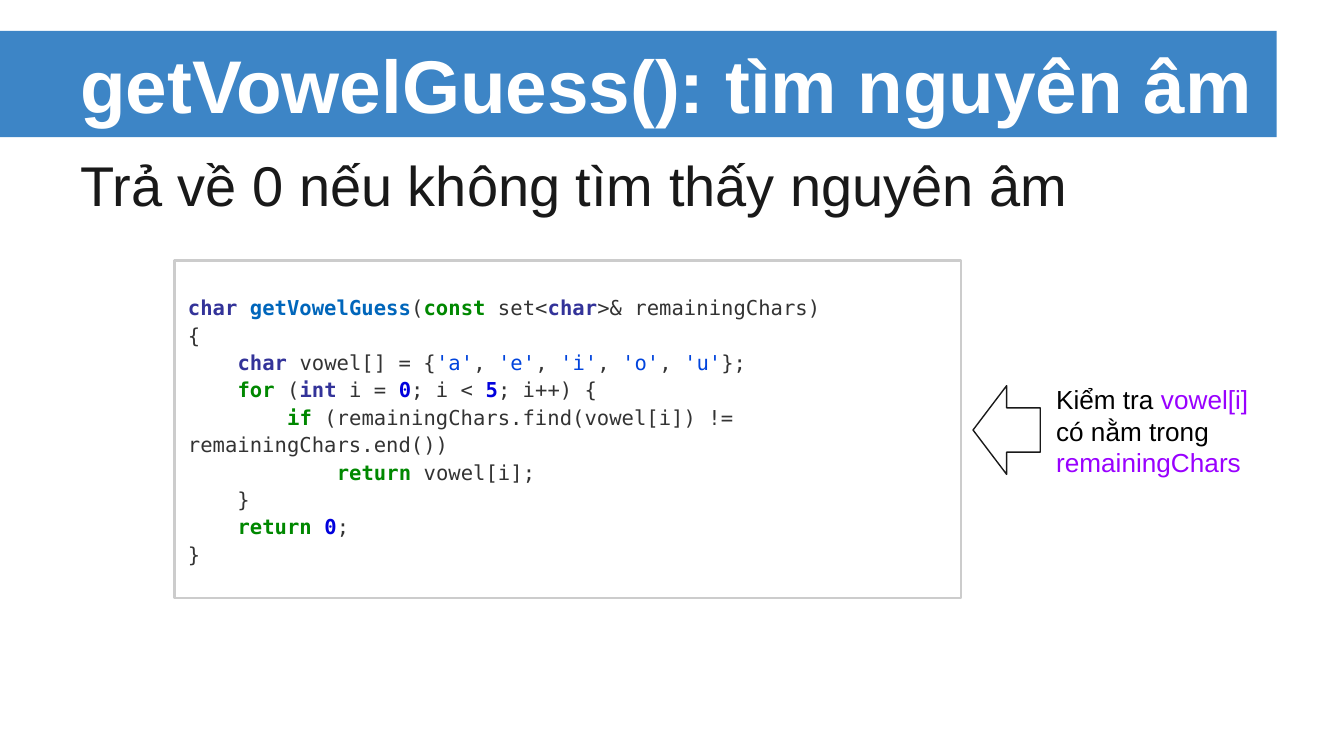
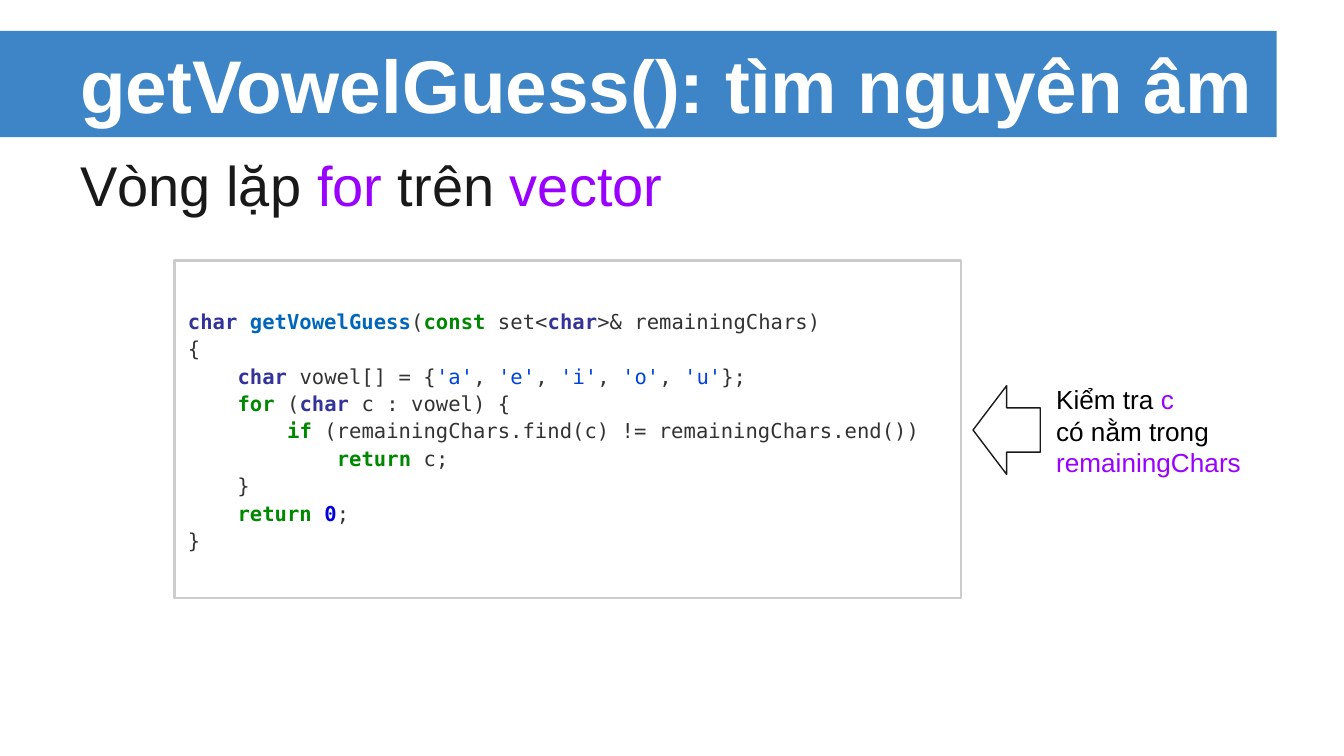
from copy import deepcopy
from itertools import groupby

from pptx import Presentation
from pptx.dml.color import RGBColor
from pptx.enum.shapes import MSO_SHAPE as Shape
from pptx.enum.text import MSO_ANCHOR as Anchor, PP_ALIGN as Align
from pptx.oxml.ns import qn
from pptx.util import Inches, Pt

BLUE, WHITE, DARK, BLACK, PURPLE = "3D85C6", "FFFFFF", "191919", "000000", "9900FF"
GREY, PLAIN = "CCCCCC", ("333333", False)
SYNTAX = {
    **dict.fromkeys(("char", "int"), ("333399", True)),
    **dict.fromkeys(("const", "for", "if", "return"), ("008800", True)),
    **dict.fromkeys(("0", "5"), ("0000DD", True)),
    **dict.fromkeys(("'a'", "'e'", "'i'", "'o'", "'u'"), ("0044DD", False)),
    "getVowelGuess": ("0066BB", True),
}
TITLE = "getVowelGuess(): tìm nguyên âm"
HEAD = """char getVowelGuess(const set<char>& remainingChars)
{
    char vowel[] = {'a', 'e', 'i', 'o', 'u'};
"""
LOOP = """    for (int i = 0; i < 5; i++) {
        if (remainingChars.find(vowel[i]) != remainingChars.end())
            return vowel[i];
"""
RANGE = """    for (char c : vowel) {
        if (remainingChars.find(c) != remainingChars.end())
            return c;
"""
TAIL = """    }
    return 0;
}"""


def tint(code):
    return RGBColor.from_string(code)


def apply(item, form):
    for key, value in form.items():
        setattr(item, key, value)


def lex(line):
    """Split a code line into (style, text) pairs."""
    words = ("".join(part) for _, part in groupby(line, lambda c: c.isalnum() or c == "'"))
    for style, part in groupby(words, lambda word: SYNTAX.get(word, PLAIN)):
        yield style, "".join(part)


class Deck:
    """Hold the shared style and the current slide."""

    fonts = {
        "title": {"name": "Arial", "size": Pt(40), "bold": True},
        "body": {"name": "Arial", "size": Pt(30)},
        "note": {"name": "Arial", "size": Pt(14)},
        "code": {"name": "DejaVu Sans Mono", "size": Pt(11)},
    }
    frame = {"word_wrap": True, **{f"margin_{side}": Inches(0.1)
                                   for side in ("left", "right", "top", "bottom")}}

    def __init__(self):
        self.prs = Presentation()
        apply(self.prs, {"slide_width": Inches(10), "slide_height": Inches(10 * 9 / 16)})

    def page(self):
        self.slide = self.prs.slides.add_slide(self.prs.slide_layouts[6])
        self.shape(Shape.RECTANGLE, (0, 0.23, 9.5, 0.79), fill=BLUE)

    def shape(self, kind, box, fill=None, line=None, width=1):
        item = self.slide.shapes.add_shape(kind, *map(Inches, box))
        item.shadow.inherit = False
        for paint, color in ((item.fill, fill), (item.line.fill, line)):
            if color:
                paint.solid()
                paint.fore_color.rgb = tint(color)
            else:
                paint.background()
        if line:
            item.line.width = Pt(width)
        return item

    def run(self, para, text, style, color, **form):
        run = para.add_run()
        run.text = text
        apply(run.font, {**self.fonts[style], **form})
        run.font.color.rgb = tint(color)

    def text(self, box, lines, style, color, anchor=Anchor.MIDDLE, before=0):
        """Write lines, with the words between asterisks in purple."""
        frame = self.slide.shapes.add_textbox(*map(Inches, box)).text_frame
        apply(frame, {**self.frame, "vertical_anchor": anchor})
        for row, line in enumerate(lines):
            para = frame.add_paragraph() if row else frame.paragraphs[0]
            para.space_before = Pt(before)
            for spot, part in enumerate(line.split("*")):
                if part:
                    self.run(para, part, style, PURPLE if spot % 2 else color)

    def code(self, box, source):
        frame = self.shape(Shape.RECTANGLE, box, line=GREY, width=1.5).text_frame
        apply(frame, {**self.frame, "vertical_anchor": Anchor.MIDDLE})
        para = frame.paragraphs[0]
        apply(para, {"alignment": Align.LEFT, "line_spacing": 1.11})
        for row, line in enumerate(source.splitlines()):
            if row:
                para.add_line_break()
            for (color, bold), part in lex(line):
                self.run(para, part, "code", color, bold=bold)
        for gap in para._p.findall(qn("a:br")):
            gap.append(deepcopy(para.runs[0].font._element))

    def arrow(self, box):
        self.shape(Shape.LEFT_ARROW, box, line=DARK, width=0.75)


def main():
    deck = Deck()
    for lead, loop, name in (
        ("Trả về 0 nếu không tìm thấy nguyên âm", LOOP, "vowel[i]"),
        ("Vòng lặp *for* trên *vector*", RANGE, "c"),
    ):
        deck.page()
        deck.text((0.5, 0.23, 9, 0.79), [TITLE], "title", WHITE)
        deck.text((0.5, 1.02, 9, 4.37), [lead], "body", DARK, Anchor.TOP, 6)
        deck.code((1.3, 1.94, 5.85, 2.51), HEAD + loop + TAIL)
        deck.arrow((7.24, 2.87, 0.5, 0.66))
        note = [f"Kiểm tra *{name}*", "có nằm trong *remainingChars*"]
        deck.text((7.76, 2.77, 1.74, 0.87), note, "note", BLACK)
    deck.prs.save("out.pptx")


if __name__ == "__main__":
    main()
